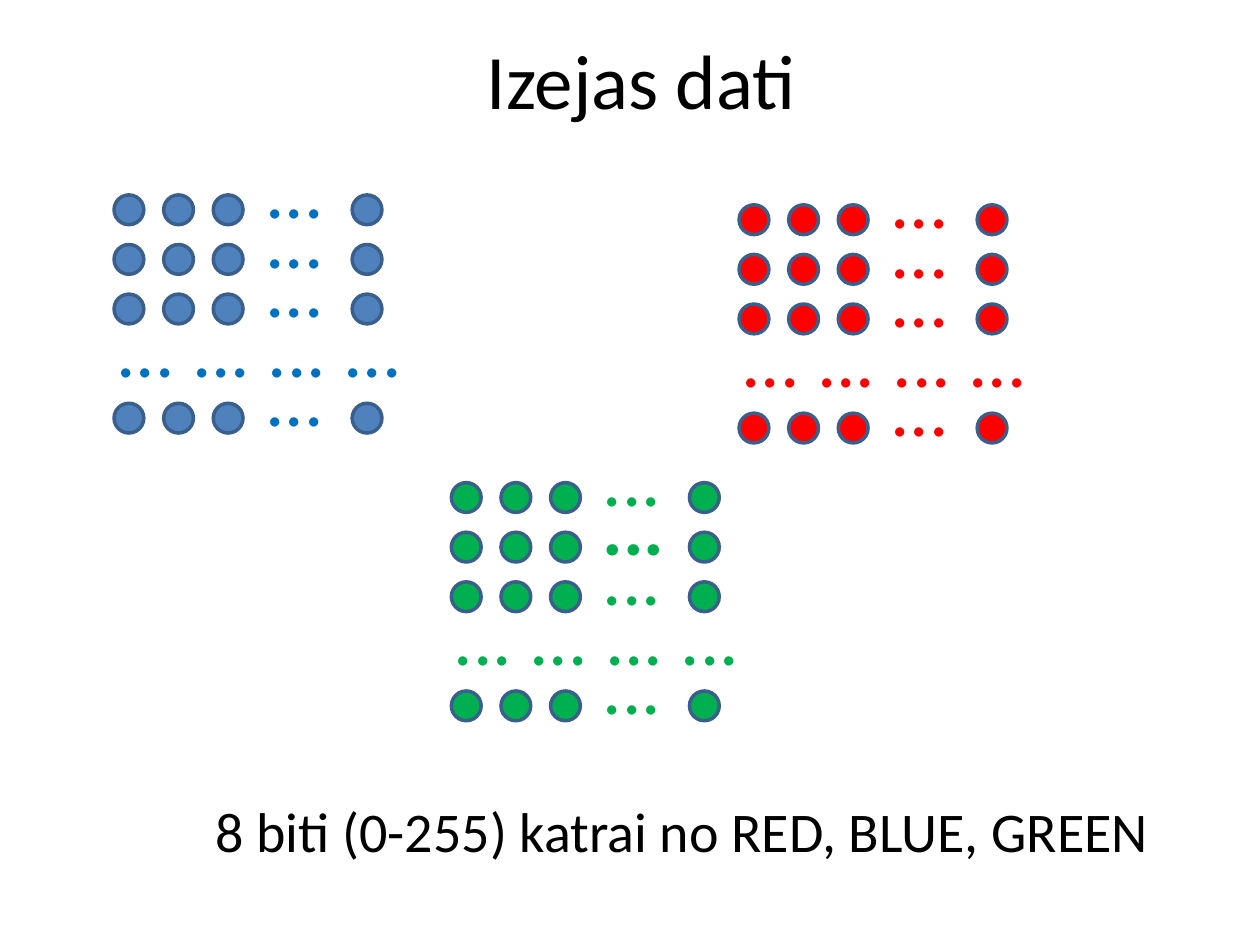
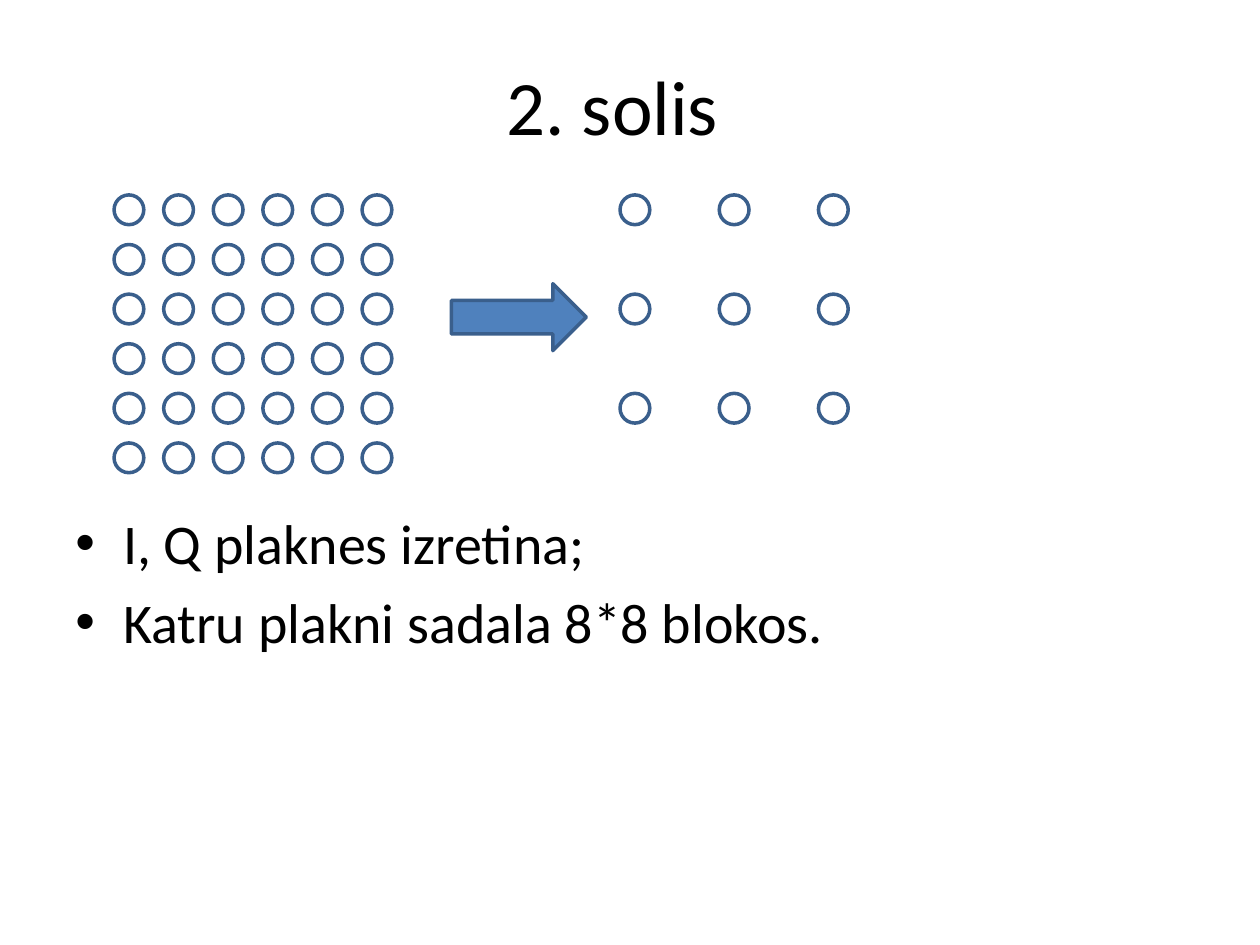
from itertools import product

from lxml.etree import SubElement
from pptx import Presentation
from pptx.dml.color import RGBColor
from pptx.enum.shapes import MSO_SHAPE as Shape
from pptx.enum.text import MSO_ANCHOR as Anchor, PP_ALIGN as Align
from pptx.oxml.ns import qn
from pptx.util import Cm, Inches, Pt

# Shared look
FONT = "Calibri"
BLACK = RGBColor(0x00, 0x00, 0x00)
WHITE = RGBColor(0xFF, 0xFF, 0xFF)
OUTLINE = RGBColor(0x3A, 0x5F, 0x8C)
ACCENT = RGBColor(0x4F, 0x81, 0xBD)
BLUE = RGBColor(0x00, 0x70, 0xC0)
RED = RGBColor(0xFF, 0x00, 0x00)
GREEN = RGBColor(0x00, 0xB0, 0x50)
BIG, NORMAL = 44, 32

# Everything sits on a grid of 1 cm cells; pixels are drawn one per cell
PIXEL = 0.6
PLANE_COLUMNS = (0, 1, 2, 4.8)
PLANE_ROWS = (0, 1, 2, 4.2)
GRID_LEFT, GRID_TOP = 2.3, 3.93
BODY_WIDTH = 22.86
DOTS_WIDTH, BOLD_DOTS_WIDTH, DOTS_HEIGHT = 1.7, 1.8, 2.13


def add_shape(page, kind, left, top, width, height, fill):
    shape = page.shapes.add_shape(kind, Cm(left), Cm(top), Cm(width), Cm(height))
    shape.shadow.inherit = False
    shape.fill.solid()
    shape.fill.fore_color.rgb = fill
    shape.line.color.rgb = OUTLINE
    shape.line.width = Pt(2)


def add_text(page, lines, left, top, width, height, size=NORMAL, color=BLACK,
             bold=False, wrap=False):
    box = page.shapes.add_textbox(Cm(left), Cm(top), Cm(width), Cm(height))
    frame = box.text_frame
    frame.word_wrap = wrap
    frame.text = "\n".join(lines)
    for para in frame.paragraphs:
        para.font.name = FONT
        para.font.size = Pt(size)
        para.font.bold = bold
        para.font.color.rgb = color
    return frame


def add_title(page, text, left, top):
    frame = add_text(page, [text], left, top, BODY_WIDTH, 3.18, BIG, wrap=True)
    frame.vertical_anchor = Anchor.MIDDLE
    frame.paragraphs[0].alignment = Align.CENTER


def add_bullets(page, lines, left, top, height):
    frame = add_text(page, lines, left, top, BODY_WIDTH, height, wrap=True)
    indent = Inches(0.38)
    for para in frame.paragraphs:
        para.space_before = Pt(0.2 * NORMAL)
        props = para._p.get_or_add_pPr()
        props.set("marL", str(indent))
        props.set("indent", str(-indent))
        SubElement(props, qn("a:buFont")).set("typeface", "Arial")
        SubElement(props, qn("a:buChar")).set("char", "•")


def add_pixels(page, left, top, columns, rows, fill):
    for row, column in product(rows, columns):
        add_shape(page, Shape.OVAL, left + column, top + row, PIXEL, PIXEL, fill)


def add_plane(page, left, top, fill, dots, bold_row=None):
    """Draw one colour plane: pixels with dots for the skipped ones."""
    add_pixels(page, left, top, PLANE_COLUMNS, PLANE_ROWS, fill)
    for row in PLANE_ROWS:
        bold = row == bold_row
        width = BOLD_DOTS_WIDTH if bold else DOTS_WIDTH
        add_text(page, ["..."], left + 2.8, top + row - 1.2, width, DOTS_HEIGHT,
                 BIG, dots, bold)
    add_text(page, ["... ... ... ..."], left - 0.2, top + 2, 6.32, DOTS_HEIGHT,
             BIG, dots)


def build_source_data(page):
    add_title(page, "Izejas dati", 1.5, 0)
    add_plane(page, GRID_LEFT, GRID_TOP, ACCENT, BLUE)
    add_plane(page, 14.9, 4.13, RED, RED)
    add_plane(page, 9.1, 9.73, GREEN, GREEN, bold_row=1)
    add_text(page, ["8 biti (0-255) katrai no RED, BLUE, GREEN"],
             4.09, 15.93, 19.53, 1.63)


def build_second_step(page):
    add_title(page, "2. solis ", 1.09, 0.53)
    add_bullets(page, ["I, Q plaknes izretina;", "Katru plakni sadala 8*8 blokos."],
                1.27, 10.13, 3.99)
    # Full plane, then every second pixel of it
    full, thinned = range(6), range(0, 6, 2)
    add_pixels(page, GRID_LEFT, GRID_TOP, full, full, WHITE)
    add_shape(page, Shape.RIGHT_ARROW, 9.1, 5.72, 2.72, 1.35, ACCENT)
    add_pixels(page, 12.5, GRID_TOP, thinned, thinned, WHITE)


def main():
    deck = Presentation()
    deck.slide_width, deck.slide_height = Inches(10), Inches(7.5)
    for build in (build_source_data, build_second_step):
        build(deck.slides.add_slide(deck.slide_layouts[6]))
    deck.save("out.pptx")


main()
